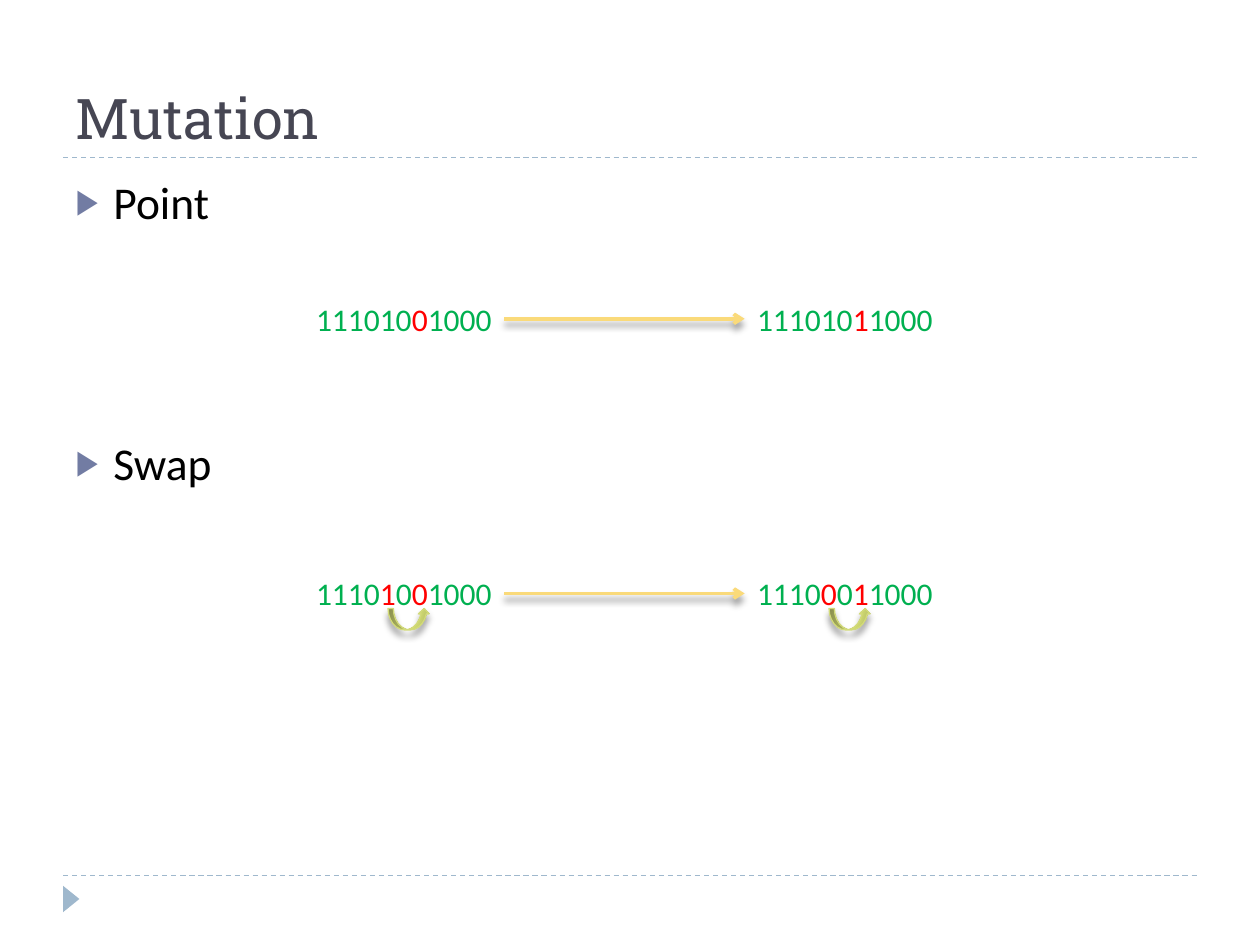
"""Build the slide on point and swap mutation."""
from lxml.etree import SubElement
from pptx import Presentation
from pptx.dml.color import RGBColor
from pptx.enum.dml import MSO_LINE
from pptx.enum.shapes import MSO_CONNECTOR, MSO_SHAPE
from pptx.enum.text import MSO_ANCHOR, MSO_AUTO_SIZE, PP_ALIGN
from pptx.oxml import parse_xml
from pptx.oxml.ns import nsdecls, qn
from pptx.util import Inches, Pt

SLATE = RGBColor(0x46, 0x46, 0x53)
BLACK = RGBColor(0x00, 0x00, 0x00)
BLUE = RGBColor(0x9F, 0xB8, 0xCD)
INDIGO = RGBColor(0x72, 0x7C, 0xA3)
GREEN = RGBColor(0x00, 0xB0, 0x50)
RED = RGBColor(0xFF, 0x00, 0x00)
GOLD = RGBColor(0xFA, 0xDA, 0x7A)
LIME = RGBColor(0xD2, 0xDA, 0x7A)
SHADES = [(0, "ACB264"), (30, "CCD570"), (45, "D9E371"),
          (55, "D9E371"), (73, "CCD570"), (100, "ACB264")]

deck = Presentation()
deck.slide_width, deck.slide_height = Inches(10), Inches(7.5)
cell = deck.slide_width / 20
slide = deck.slides.add_slide(deck.slide_layouts[1])
shapes = slide.shapes


def grid(*cells):
    return [round(n * cell) for n in cells]


def shade(shape):
    shape._element.spPr.append(parse_xml(
        f'<a:effectLst {nsdecls("a")}><a:outerShdw blurRad="50800" dist="43000" '
        'dir="5400000" rotWithShape="0"><a:srgbClr val="000000">'
        '<a:alpha val="40000"/></a:srgbClr></a:outerShdw></a:effectLst>'))


for row in (13.9, 2.5):
    rule = shapes.add_connector(MSO_CONNECTOR.STRAIGHT, *grid(1, row, 19, row))
    rule.line.color.rgb = BLUE
    rule.line.width = Pt(0.75)
    rule.line.dash_style = MSO_LINE.DASH
    SubElement(rule._element.spPr, qn("a:effectLst"))

mark = shapes.add_shape(MSO_SHAPE.ISOSCELES_TRIANGLE, *grid(0.92, 14.14, 0.42, 0.26))
mark.rotation = 90
mark.shadow.inherit = False
mark.fill.solid()
mark.fill.fore_color.rgb = BLUE
mark.line.fill.background()

title = shapes.title
title.left, title.top, title.width, title.height = grid(1, 0.34, 18, 2.16)
frame = title.text_frame
frame.auto_size = MSO_AUTO_SIZE.NONE
frame.vertical_anchor = MSO_ANCHOR.BOTTOM
para = frame.paragraphs[0]
para.alignment = PP_ALIGN.LEFT
run = para.add_run()
run.text = "Mutation"
run.font.name, run.font.size, run.font.color.rgb = "Roboto Slab", Pt(32), SLATE

body = slide.placeholders[1]
body.left, body.top, body.width, body.height = grid(1, 2.66, 18, 10.8)
frame = body.text_frame
frame.auto_size = MSO_AUTO_SIZE.NONE
for word, gap in (("Point", 0), ("Swap", 118)):
    para = frame.add_paragraph() if gap else frame.paragraphs[0]
    para.space_before = Pt(gap)
    props = para._p.get_or_add_pPr()
    props.set("marL", str(Inches(0.3)))
    props.set("indent", str(-Inches(0.3)))
    tint = SubElement(props, qn("a:buClr"))
    SubElement(tint, qn("a:srgbClr"), val=str(INDIGO))
    SubElement(props, qn("a:buSzPct"), val="76000")
    SubElement(props, qn("a:buChar"), char="▶")
    run = para.add_run()
    run.text = word
    run.font.name, run.font.size, run.font.color.rgb = "Calibri", Pt(26), BLACK

GENES = [
    (4.66, (["111010", "0", "1000"], ["111010", "1", "1000"])),
    (9.02, (["1110", "1", "0", "0", "1000"], ["1110", "0", "0", "1", "1000"])),
]
LEFTS = (4.82, 11.82)
for row, pair in GENES:
    boxes = []
    for left, parts in zip(LEFTS, pair):
        box = shapes.add_textbox(*grid(left, row, 3.18, 0.8))
        frame = box.text_frame
        frame.word_wrap = True
        frame.margin_right = 0
        frame.auto_size = MSO_AUTO_SIZE.SHAPE_TO_FIT_TEXT
        for i, part in enumerate(parts):
            run = frame.paragraphs[0].add_run()
            run.text = part
            run.font.name, run.font.size = "Calibri", Pt(18)
            run.font.color.rgb = RED if i % 2 else GREEN
        boxes.append(box)
    arrow = shapes.add_connector(MSO_CONNECTOR.STRAIGHT, 0, 0, 0, 0)
    arrow.begin_connect(boxes[0], 3)
    arrow.end_connect(boxes[1], 1)
    arrow.line.color.rgb = GOLD
    arrow.line.width = Pt(2)
    SubElement(arrow.line._get_or_add_ln(), qn("a:tailEnd"), type="arrow")
    shade(arrow)

stops = "".join(f'<a:gs pos="{pos * 1000}"><a:srgbClr val="{tone}"/></a:gs>'
                for pos, tone in SHADES)
for left in LEFTS:
    bend = shapes.add_shape(MSO_SHAPE.CURVED_UP_ARROW,
                            *grid(left + 1.34, 9.66, 0.66, 0.34))
    bend._element.spPr.append(parse_xml(
        f'<a:gradFill {nsdecls("a")} rotWithShape="1"><a:gsLst>{stops}</a:gsLst>'
        '<a:lin ang="960000" scaled="0"/></a:gradFill>'))
    bend.line.color.rgb = LIME
    bend.line.width = Pt(0.75)
    shade(bend)

deck.save("out.pptx")
